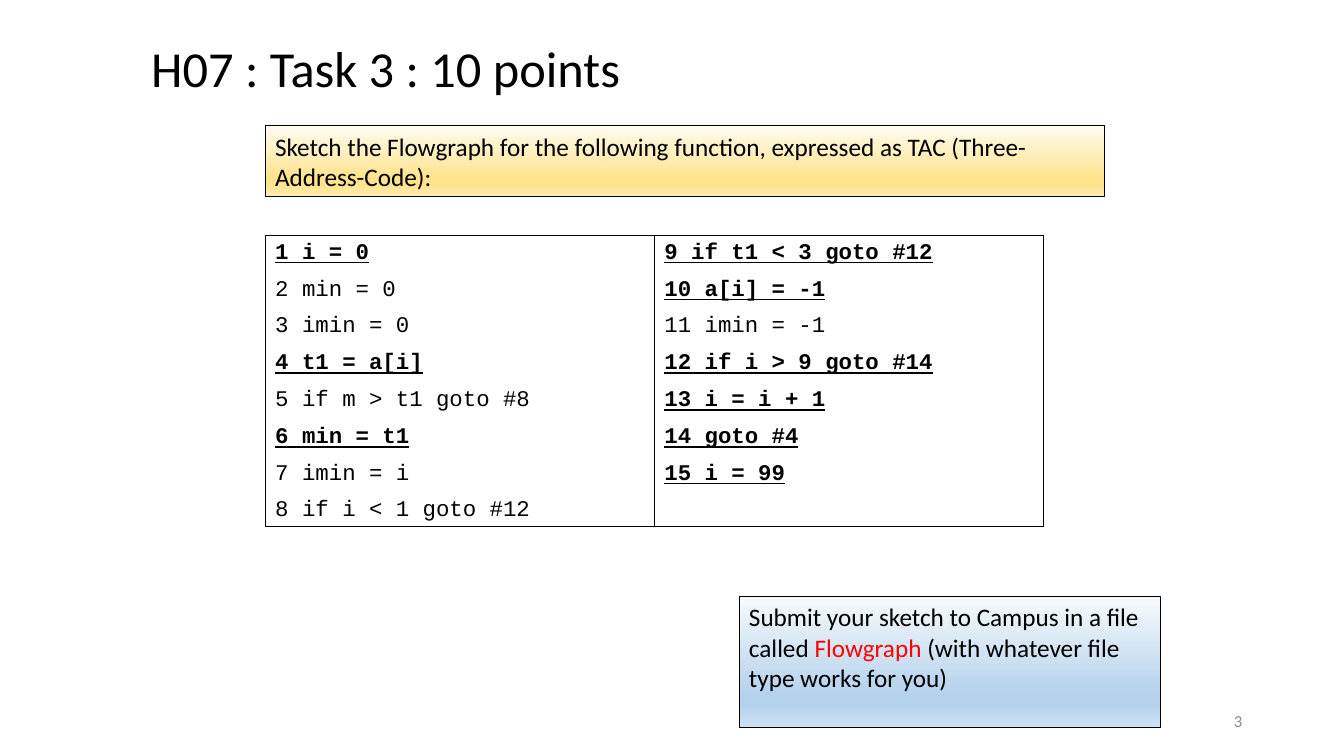
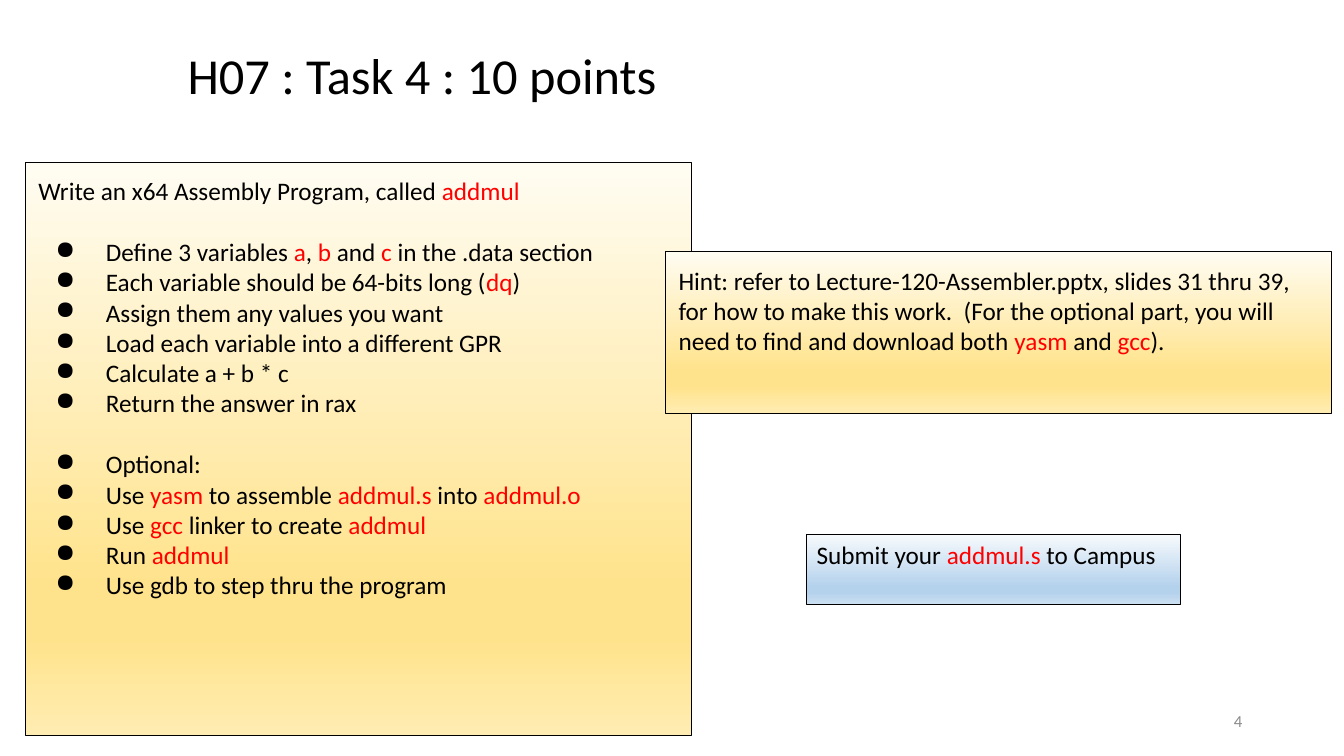
from lxml import etree
from pptx import Presentation
from pptx.dml.color import RGBColor
from pptx.enum.shapes import MSO_SHAPE
from pptx.enum.text import MSO_ANCHOR, MSO_AUTO_SIZE, PP_ALIGN
from pptx.oxml.ns import qn
from pptx.util import Inches, Pt

RECTANGLE = MSO_SHAPE.RECTANGLE
TOP, MIDDLE = MSO_ANCHOR.TOP, MSO_ANCHOR.MIDDLE
LEFT, RIGHT = PP_ALIGN.LEFT, PP_ALIGN.RIGHT
FIXED_SIZE = MSO_AUTO_SIZE.NONE

COLORS = {"text": "000000", "accent": "FF0000", "number": "8B8B8B"}
GRADIENTS = {
    "yellow": [(0, "FFFCF2"), (74, "FFE38C"), (83, "FFE38C"), (100, "FFECB2")],
    "blue": [(0, "F7FAFD"), (74, "B5D2EC"), (83, "B5D2EC"), (100, "CEE1F2")],
}
LINE_GAP = 22

CODE_COLUMNS = [
    ["1 i = 0", "2 min = 0", "3 imin = 0", "4 t1 = a[i]",
     "5 if m > t1 goto #8", "6 min = t1", "7 imin = i", "8 if i < 1 goto #12"],
    ["9 if t1 < 3 goto #12", "10 a[i] = -1", "11 imin = -1",
     "12 if i > 9 goto #14", "13 i = i + 1", "14 goto #4", "15 i = 99"],
]
BLOCK_LEADERS = {1, 4, 6, 9, 10, 12, 13, 14, 15}

BULLET_GROUPS = [
    ["Define 3 variables |a|, |b| and |c| in the .data section",
     "Each variable should be 64-bits long (|dq|)",
     "Assign them any values you want",
     "Load each variable into a different GPR",
     "Calculate a + b * c",
     "Return the answer in rax"],
    ["Optional:",
     "Use |yasm| to assemble |addmul.s| into |addmul.o|",
     "Use |gcc| linker to create |addmul|",
     "Run |addmul|",
     "Use gdb to step thru the program"],
]

PAGES = [
    {"number": 3, "title": "H07 : Task 3 : 10 points", "title_at": (1.4, 0.32, 11.39, 0.7),
     "panels": [
         ("yellow", (2.63, 1.25, 8.33, 0.7), (0.1, 0.05),
          "Sketch the Flowgraph for the following function, expressed as TAC (Three-Address-Code):", []),
         ("blue", (7.33, 5.92, 4.18, 1.3), (0.1, 0.05),
          "Submit your sketch to Campus in a file called |Flowgraph| (with whatever file type works for you)", []),
     ],
     "code": CODE_COLUMNS},
    {"number": 4, "title": "H07 : Task 4 : 10 points", "title_at": (1.76, 0.39, 9.6, 0.7),
     "panels": [
         ("blue", (8, 5.3, 3.71, 0.7), (0.1, 0.05),
          "Submit your |addmul.s| to Campus", []),
         ("yellow", (0.25, 1.61, 6.61, 5.69), (0.13, 0.13),
          "Write an x64 Assembly Program, called |addmul|", BULLET_GROUPS),
         ("yellow", (6.6, 2.5, 6.61, 1.6), (0.13, 0.13),
          "Hint: refer to Lecture-120-Assembler.pptx, slides 31 thru 39, for how to make this work.  "
          "(For the optional part, you will need to find and download both |yasm| and |gcc|).", []),
     ],
     "code": []},
]


def write_text(para, text, size=18, font="Calibri", color="text", bold=False,
               underline=False, align=LEFT, before=0, spacing=1.0, bullet=False):
    para.alignment = align
    para.space_before = Pt(before)
    para.line_spacing = spacing
    if bullet:
        properties = para._p.get_or_add_pPr()
        properties.set("marL", str(Inches(0.67)))
        properties.set("indent", str(-Inches(0.5)))
        bullet_color = etree.SubElement(properties, qn("a:buClr"))
        etree.SubElement(bullet_color, qn("a:srgbClr"), val=COLORS["text"])
        etree.SubElement(properties, qn("a:buChar"), char="●")
    for index, part in enumerate(text.split("|")):
        if part:
            span = para.add_run()
            span.text = part
            span.font.size = Pt(size)
            span.font.name = font
            span.font.bold = bold
            span.font.underline = underline
            span.font.color.rgb = RGBColor.from_string(COLORS["accent" if index % 2 else color])


def set_frame(frame, anchor=TOP, margins=(0.1, 0.05)):
    frame.word_wrap = True
    frame.auto_size = FIXED_SIZE
    frame.vertical_anchor = anchor
    frame.margin_left = frame.margin_right = Inches(margins[0])
    frame.margin_top = frame.margin_bottom = Inches(margins[1])
    return frame


deck = Presentation()
deck.slide_width = Inches(13.33)
deck.slide_height = Inches(7.5)

for content in PAGES:
    page = deck.slides.add_slide(deck.slide_layouts[5])

    title = page.shapes.title
    title.left, title.top, title.width, title.height = map(Inches, content["title_at"])
    write_text(set_frame(title.text_frame).paragraphs[0], content["title"], size=36)

    number_box = page.shapes.add_textbox(Inches(9.42), Inches(6.95), Inches(3), Inches(0.4))
    write_text(set_frame(number_box.text_frame, anchor=MIDDLE).paragraphs[0],
               str(content["number"]), size=12, color="number", align=RIGHT)

    for gradient, place, margins, lead, bullet_groups in content["panels"]:
        panel = page.shapes.add_shape(RECTANGLE, *map(Inches, place))
        panel.shadow.inherit = False
        panel.fill.gradient()
        panel.fill.gradient_angle = 270
        stops = panel._element.spPr.find(qn("a:gradFill")).find(qn("a:gsLst"))
        for stop in list(stops):
            stops.remove(stop)
        for percent, shade in GRADIENTS[gradient]:
            stop = etree.SubElement(stops, qn("a:gs"), pos=str(percent * 1000))
            etree.SubElement(stop, qn("a:srgbClr"), val=shade)
        panel.line.color.rgb = RGBColor.from_string(COLORS["text"])
        panel.line.width = Pt(0.75)
        frame = set_frame(panel.text_frame, margins=margins)
        write_text(frame.paragraphs[0], lead)
        for group in bullet_groups:
            for index, item in enumerate(group):
                write_text(frame.add_paragraph(), item, bullet=True,
                           before=0 if index else LINE_GAP)

    if content["code"]:
        table = page.shapes.add_table(1, len(content["code"]), Inches(2.63), Inches(2.34),
                                      Inches(7.72), Inches(2.88)).table
        table.first_row = False
        table.horz_banding = False
        for cell, lines in zip(table.rows[0].cells, content["code"]):
            cell_properties = cell._tc.get_or_add_tcPr()
            for side in ("a:lnL", "a:lnR", "a:lnT", "a:lnB"):
                border = etree.SubElement(cell_properties, qn(side), w=str(Pt(0.75)))
                border_fill = etree.SubElement(border, qn("a:solidFill"))
                etree.SubElement(border_fill, qn("a:srgbClr"), val=COLORS["text"])
            cell.fill.background()
            for index, line in enumerate(lines):
                para = cell.text_frame.add_paragraph() if index else cell.text_frame.paragraphs[0]
                leader = int(line.split()[0]) in BLOCK_LEADERS
                write_text(para, line, size=16, font="Courier New", bold=leader,
                           underline=leader, before=10, spacing=0.9)

deck.save("out.pptx")
